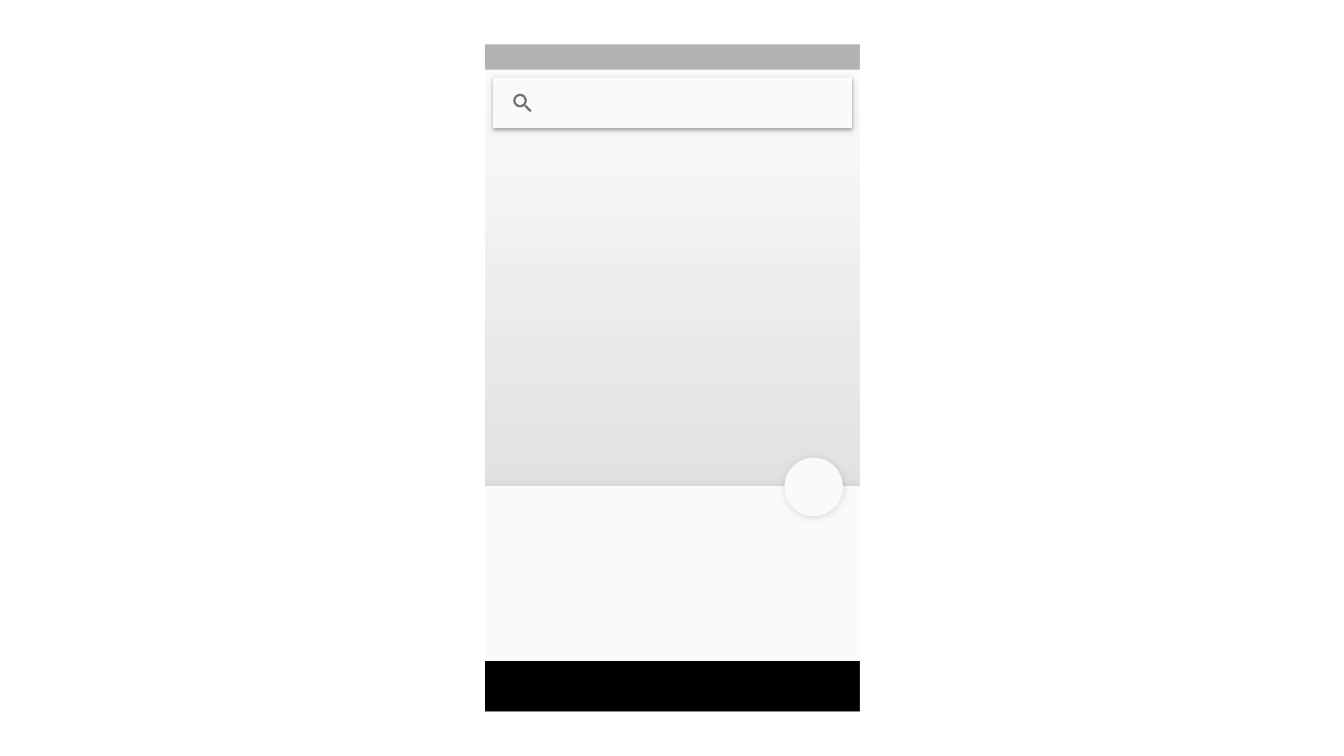
import pptx
import pptx.dml.color
import pptx.enum.shapes
import pptx.oxml
import pptx.oxml.ns
import pptx.util

RGBColor = pptx.dml.color.RGBColor
SHAPE = pptx.enum.shapes.MSO_SHAPE
PX = 9144
NAMESPACE = pptx.oxml.ns.nsdecls("a")

WHITE = RGBColor(0xFF, 0xFF, 0xFF)
BLACK = RGBColor(0x00, 0x00, 0x00)
PAPER = RGBColor(0xFA, 0xFA, 0xFA)
STATUS_GREY = RGBColor(0xB2, 0xB2, 0xB2)

SLIDE_W, SLIDE_H = 1333, 750
PHONE_X, PHONE_Y, PHONE_W, PHONE_H = 481, 44, 372, 662
PHONE_RIGHT = PHONE_X + PHONE_W
PHONE_BOTTOM = PHONE_Y + PHONE_H
SHEET_Y = 482
NAV_Y = 656

deck = pptx.Presentation()
deck.slide_width = SLIDE_W * PX
deck.slide_height = SLIDE_H * PX
page = deck.slides.add_slide(deck.slide_layouts[6])


def add_block(kind, left, top, width, height, color, shadow=None):
    block = page.shapes.add_shape(kind, left * PX, top * PX, width * PX, height * PX)
    block.shadow.inherit = False
    block.fill.solid()
    block.fill.fore_color.rgb = color
    block.line.fill.background()
    if shadow:
        alpha, blur = shadow
        effects = block.element.spPr.find(pptx.oxml.ns.qn("a:effectLst"))
        effects.append(pptx.oxml.parse_xml(
            f'<a:outerShdw {NAMESPACE} blurRad="{pptx.util.Pt(blur)}" '
            f'dist="{pptx.util.Pt(1)}" dir="5400000" algn="t" rotWithShape="0">'
            f'<a:srgbClr val="{BLACK}"><a:alpha val="{alpha * 1000}"/></a:srgbClr></a:outerShdw>'))
    return block


def set_alphas(shape, alphas):
    for color, alpha in zip(shape.element.spPr.xpath(".//a:srgbClr"), alphas):
        color.append(pptx.oxml.parse_xml(f'<a:alpha {NAMESPACE} val="{alpha * 1000}"/>'))


backdrop = add_block(SHAPE.RECTANGLE, PHONE_X, PHONE_Y, PHONE_W, PHONE_H, BLACK)
backdrop.fill.gradient()
backdrop.fill.gradient_angle = 270
for stop, position in zip(backdrop.fill.gradient_stops, (0, 0.92)):
    stop.color.rgb = BLACK
    stop.position = position
set_alphas(backdrop, (0, 16))

add_block(SHAPE.RECTANGLE, PHONE_X, SHEET_Y, PHONE_W, PHONE_BOTTOM - SHEET_Y, PAPER, (12, 6))
add_block(SHAPE.RECTANGLE, PHONE_X, NAV_Y, PHONE_W, PHONE_BOTTOM - NAV_Y, BLACK)
add_block(SHAPE.RECTANGLE, PHONE_X, PHONE_Y, PHONE_W, 25, STATUS_GREY)
add_block(SHAPE.OVAL, 778, 454, 58, 58, PAPER, (12, 6))

for color, shadow in ((WHITE, (24, 2)), (PAPER, (12, 6))):
    search_bar = add_block(SHAPE.ROUNDED_RECTANGLE, PHONE_X + 8, 77, PHONE_W - 16, 50, color, shadow)
    search_bar.adjustments[0] = 0.02

ICON = 1749
MAGNIFIER = (
    ("moveTo", (1250, 1100)),
    ("lnTo", (1171, 1100)),
    ("lnTo", (1143, 1073)),
    ("cubicBezTo", (1241, 959), (1300, 811), (1300, 650)),
    ("cubicBezTo", (1300, 291), (1009, 0), (650, 0)),
    ("cubicBezTo", (291, 0), (0, 291), (0, 650)),
    ("cubicBezTo", (0, 1009), (291, 1300), (650, 1300)),
    ("cubicBezTo", (811, 1300), (959, 1241), (1073, 1143)),
    ("lnTo", (1100, 1171)),
    ("lnTo", (1100, 1250)),
    ("lnTo", (1600, ICON)),
    ("lnTo", (ICON, 1600)),
    ("close",),
    ("moveTo", (650, 1100)),
    ("cubicBezTo", (401, 1100), (200, 899), (200, 650)),
    ("cubicBezTo", (200, 401), (401, 200), (650, 200)),
    ("cubicBezTo", (899, 200), (1100, 401), (1100, 650)),
    ("cubicBezTo", (1100, 899), (899, 1100), (650, 1100)),
    ("close",),
)
outline = page.shapes.build_freeform(0, 0, scale=95.25)
outline.add_line_segments([(ICON, 0), (ICON, ICON), (0, ICON)])
magnifier = outline.convert_to_shape(509 * PX, 93 * PX)
contour = magnifier.element.spPr.xpath(".//a:path")[0]
for step in list(contour):
    contour.remove(step)
for command, *points in MAGNIFIER:
    marks = "".join(f'<a:pt x="{x}" y="{y}"/>' for x, y in points)
    contour.append(pptx.oxml.parse_xml(f"<a:{command} {NAMESPACE}>{marks}</a:{command}>"))
magnifier.shadow.inherit = False
magnifier.fill.solid()
magnifier.fill.fore_color.rgb = BLACK
magnifier.line.fill.background()
set_alphas(magnifier, (54,))

for left, top, width, height in (
    (0, PHONE_BOTTOM, SLIDE_W, SLIDE_H - PHONE_BOTTOM),
    (0, PHONE_Y, PHONE_X, PHONE_H),
    (PHONE_RIGHT, PHONE_Y, SLIDE_W - PHONE_RIGHT, PHONE_H),
):
    add_block(SHAPE.RECTANGLE, left, top, width, height, WHITE)

deck.save("out.pptx")
